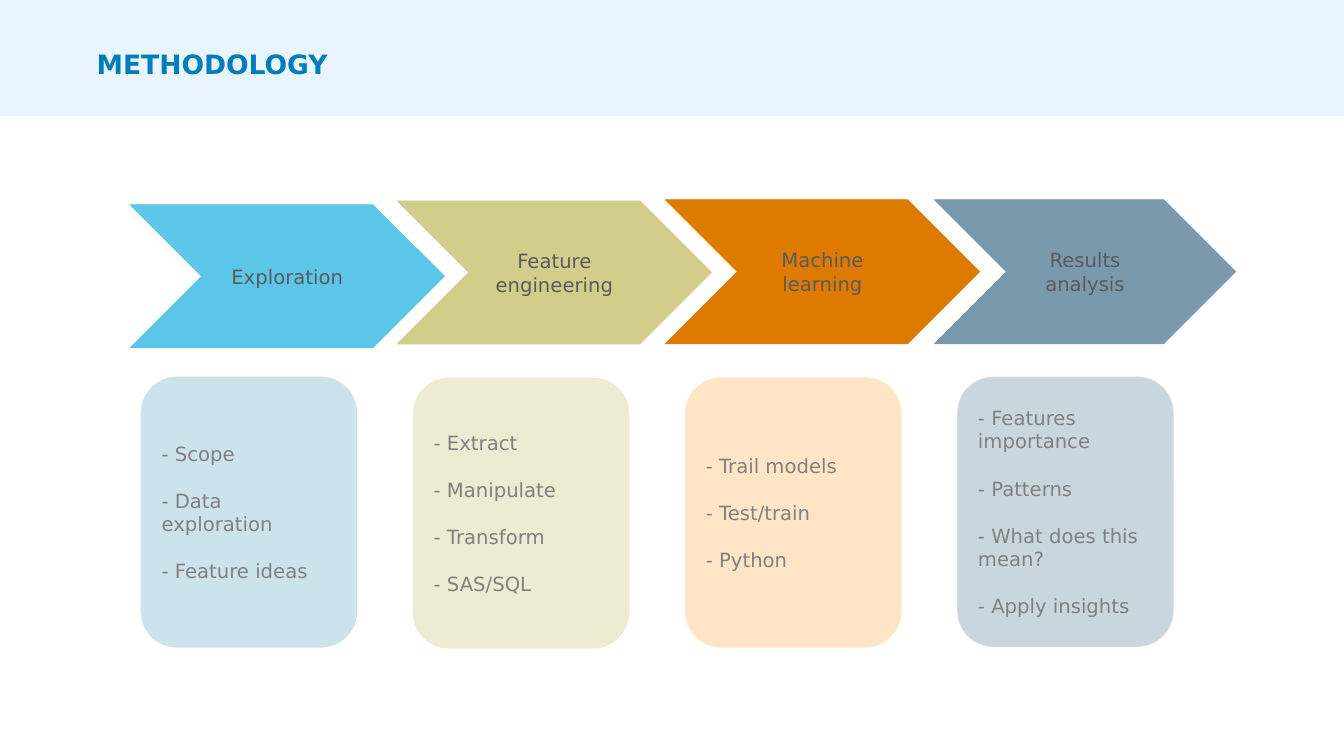
from pptx import Presentation
from pptx.dml.color import RGBColor
from pptx.enum.shapes import MSO_SHAPE
from pptx.enum.text import MSO_ANCHOR, PP_ALIGN
from pptx.util import Pt

BAND = RGBColor(0xE9, 0xF5, 0xFE)
TITLE = RGBColor(0x00, 0x7D, 0xBA)
LABEL = RGBColor(0x59, 0x5A, 0x5B)
BODY = RGBColor(0x80, 0x80, 0x80)
SKY = RGBColor(0x5B, 0xC6, 0xE8)
SAND = RGBColor(0xD3, 0xCD, 0x8B)
ORANGE = RGBColor(0xDF, 0x7A, 0x00)
SLATE = RGBColor(0x7A, 0x99, 0xAC)
PALE_SKY = RGBColor(0xCC, 0xE2, 0xEC)
PALE_SAND = RGBColor(0xED, 0xEB, 0xD1)
PALE_ORANGE = RGBColor(0xFF, 0xE5, 0xC6)
PALE_SLATE = RGBColor(0xCA, 0xD6, 0xDE)
GREY = RGBColor(0xD9, 0xD9, 0xD9)

STEPS = [
    ("Exploration", SKY, (92.9, 146.2, 224.6, 102.2),
     ["- Scope", "- Data exploration", "- Feature ideas"],
     PALE_SKY, PALE_SKY, 269.3, 193),
    ("Feature engineering", SAND, (283.7, 143.5, 224.6, 102.2),
     ["- Extract", "- Manipulate", "- Transform", "- SAS/SQL"],
     PALE_SAND, PALE_SAND, 270, 193),
    ("Machine learning", ORANGE, (475.2, 142.6, 224.6, 103),
     ["- Trail models", "- Test/train", "- Python"],
     PALE_ORANGE, PALE_ORANGE, 269.8, 192.5),
    ("Results analysis", SLATE, (667.4, 142.6, 215.3, 103),
     ["- Features importance", "- Patterns", "- What does this mean?",
      "- Apply insights"],
     PALE_SLATE, GREY, 269.3, 192.5),
]
BOX_LEFT, BOX_STEP, BOX_WIDTH = 100.8, 194.4, 154.1


class Deck:
    font = "DejaVu Sans"
    size = 14
    gap = 16.8

    def __init__(self, slide):
        self.s = slide

    def text(self, tf, lines, color, size=size, bold=False, align=PP_ALIGN.LEFT):
        tf.word_wrap = True
        for i, line in enumerate(lines):
            p = tf.add_paragraph() if i else tf.paragraphs[0]
            p.alignment = align
            if i:
                p.space_before = Pt(self.gap)
            r = p.add_run()
            r.text = line
            r.font.name = self.font
            r.font.size = Pt(size)
            r.font.bold = bold
            r.font.color.rgb = color

    def shape(self, kind, at, fill, line=None):
        sp = self.s.shapes.add_shape(kind, *map(Pt, at))
        sp.shadow.inherit = False
        sp.fill.solid()
        sp.fill.fore_color.rgb = fill
        if line is None:
            sp.line.fill.background()
        else:
            sp.line.color.rgb = line
            sp.line.width = Pt(0.5)
        sp.text_frame.vertical_anchor = MSO_ANCHOR.MIDDLE
        return sp

    def title(self, text, at):
        tf = self.s.shapes.add_textbox(*map(Pt, at)).text_frame
        tf.margin_left = tf.margin_right = tf.margin_top = tf.margin_bottom = 0
        self.text(tf, [text], TITLE, size=19, bold=True)
        tf.paragraphs[0].line_spacing = 0.95

    def chevron(self, text, at, color):
        sp = self.shape(MSO_SHAPE.CHEVRON, at, color, color)
        self.text(sp.text_frame, [text], LABEL, align=PP_ALIGN.CENTER)

    def box(self, lines, at, fill, line):
        sp = self.shape(MSO_SHAPE.ROUNDED_RECTANGLE, at, fill, line)
        self.text(sp.text_frame, lines, BODY)


def main():
    prs = Presentation()
    prs.slide_width, prs.slide_height = Pt(960), Pt(540)
    deck = Deck(prs.slides.add_slide(prs.slide_layouts[6]))
    deck.shape(MSO_SHAPE.RECTANGLE, (0, 0, 960, 82.8), BAND)
    deck.title("METHODOLOGY", (69.1, 36, 840.2, 24.5))
    for i, (name, color, at, tasks, fill, line, top, height) in enumerate(STEPS):
        deck.chevron(name, at, color)
        deck.box(tasks, (BOX_LEFT + i * BOX_STEP, top, BOX_WIDTH, height), fill, line)
    prs.save("out.pptx")


if __name__ == "__main__":
    main()
